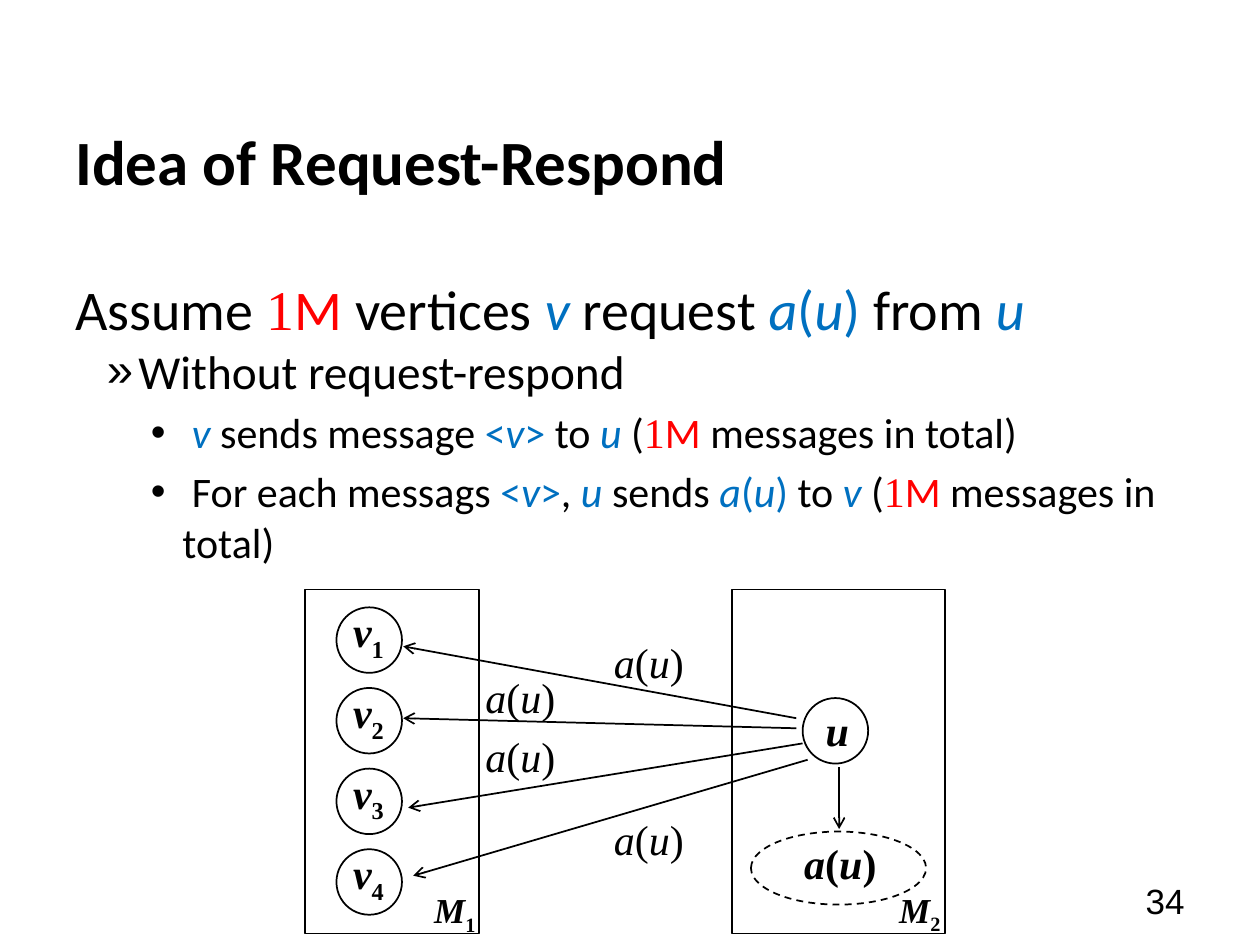
"""Builds the slide that explains the idea of request-respond."""
from dataclasses import dataclass
from typing import Optional

from lxml.etree import SubElement
from pptx import Presentation
from pptx.dml.color import RGBColor
from pptx.enum.dml import MSO_LINE_DASH_STYLE as Dash
from pptx.enum.shapes import MSO_CONNECTOR_TYPE as Connector
from pptx.enum.shapes import MSO_SHAPE as Preset
from pptx.enum.text import MSO_ANCHOR as Anchor
from pptx.enum.text import PP_ALIGN as Align
from pptx.oxml.ns import qn
from pptx.util import Inches, Pt

COLORS = {"black": "000000", "white": "FFFFFF", "red": "FF0000", "blue": "0070C0"}
SANS, SERIF = "Calibri", "Times New Roman"


@dataclass(frozen=True)
class Style:
    font: str = SANS
    color: str = "black"
    bold: bool = False
    italic: bool = False
    subscript: bool = False


@dataclass(frozen=True)
class Line:
    runs: list
    size: float
    bullet: Optional[str] = None
    margin: float = 0
    before: float = 0


@dataclass(frozen=True)
class Label:
    left: float
    top: float
    width: float
    height: float
    runs: list
    size: float = 24


@dataclass(frozen=True)
class Outline:
    preset: Preset
    left: float
    top: float
    width: float
    height: float
    fill: Optional[str] = None
    dashed: bool = False


@dataclass(frozen=True)
class Arrow:
    start: tuple
    end: tuple


PLAIN = Style()
BLUE = Style(color="blue")
VERTEX = Style(color="blue", italic=True)
DIGIT = Style(SERIF, "red")
RED = Style(color="red")
MATH = Style(SERIF, italic=True)
MATH_UPRIGHT = Style(SERIF)
MATH_BOLD = Style(SERIF, bold=True, italic=True)
MATH_BOLD_UPRIGHT = Style(SERIF, bold=True)
SUBSCRIPT = Style(SERIF, bold=True, subscript=True)


def value_of_u(italic: Style, upright: Style) -> list:
    return [("a", italic), ("(", upright), ("u", italic), (")", upright)]


def indexed(name: str, index: int) -> list:
    return [(name, MATH_BOLD), (str(index), SUBSCRIPT)]


def color_of(name: str) -> RGBColor:
    return RGBColor.from_string(COLORS[name])


def add_runs(paragraph, runs: list, size: float) -> None:
    for text, style in runs:
        run = paragraph.add_run()
        run.text = text
        run.font.name = style.font
        run.font.size = Pt(size)
        run.font.bold = style.bold
        run.font.italic = style.italic
        run.font.color.rgb = color_of(style.color)
        if style.subscript:
            run.font._element.set("baseline", "-25000")


def add_text(slide, box: tuple, lines: list, align=Align.LEFT, anchor=Anchor.TOP, wrap=True) -> None:
    frame = slide.shapes.add_textbox(*map(Inches, box)).text_frame
    frame.word_wrap = wrap
    frame.vertical_anchor = anchor
    for index, line in enumerate(lines):
        paragraph = frame.add_paragraph() if index else frame.paragraphs[0]
        paragraph.alignment = align
        paragraph.space_before = Pt(line.before)
        add_runs(paragraph, line.runs, line.size)
        if line.bullet:
            properties = paragraph._p.get_or_add_pPr()
            properties.set("marL", str(Inches(line.margin)))
            properties.set("indent", str(Inches(-0.25)))
            SubElement(properties, qn("a:buFont"), typeface="Arial")
            SubElement(properties, qn("a:buChar"), char=line.bullet)


def add_label(slide, label: Label) -> None:
    box = (label.left, label.top, label.width, label.height)
    add_text(slide, box, [Line(label.runs, label.size)], Align.CENTER, wrap=False)


def add_outline(slide, outline: Outline) -> None:
    box = (outline.left, outline.top, outline.width, outline.height)
    shape = slide.shapes.add_shape(outline.preset, *map(Inches, box))
    shape.shadow.inherit = False
    if outline.fill:
        shape.fill.solid()
        shape.fill.fore_color.rgb = color_of(outline.fill)
    else:
        shape.fill.background()
    shape.line.color.rgb = color_of("black")
    shape.line.width = Pt(1)
    if outline.dashed:
        shape.line.dash_style = Dash.DASH


def add_arrow(slide, arrow: Arrow) -> None:
    ends = map(Inches, arrow.start + arrow.end)
    connector = slide.shapes.add_connector(Connector.STRAIGHT, *ends)
    connector.line.color.rgb = color_of("black")
    connector.line.width = Pt(1)
    SubElement(connector.line._get_or_add_ln(), qn("a:tailEnd"), type="arrow")
    SubElement(connector._element.spPr, qn("a:effectLst"))


def build() -> None:
    presentation = Presentation()
    presentation.slide_width, presentation.slide_height = Inches(10), Inches(7.5)
    slide = presentation.slides.add_slide(presentation.slide_layouts[6])

    title = [("Idea of Request-Respond", Style(bold=True))]
    add_text(slide, (0.5, 0.65, 9, 1.25), [Line(title, 36)], anchor=Anchor.MIDDLE)

    blue_value = value_of_u(VERTEX, BLUE)
    message = [("<", BLUE), ("v", VERTEX), (">", BLUE)]
    total = [(" (", PLAIN), ("1", DIGIT), ("M ", RED), ("messages in total)", PLAIN)]
    assume = [("Assume ", PLAIN), ("1", DIGIT), ("M", RED), (" vertices", PLAIN), (" v", VERTEX),
              (" request ", PLAIN), *blue_value, (" from ", PLAIN), ("u", VERTEX)]
    requests = [(" ", Style(italic=True)), ("v", VERTEX), (" sends message ", PLAIN), *message,
                (" to ", PLAIN), ("u", VERTEX), *total]
    responses = [(" For each messags ", PLAIN), *message, (", ", PLAIN), ("u", VERTEX),
                 (" sends ", PLAIN), *blue_value, (" to", PLAIN), (" v", VERTEX), *total]
    add_text(slide, (0.5, 2.13, 9, 4.62), [
        Line(assume, 32, before=20),
        Line([("Without request-respond", PLAIN)], 27, "»", 0.5),
        Line(requests, 24, "•", 0.85, 4.8),
        Line(responses, 24, "•", 0.85, 4.8),
    ])
    add_text(slide, (7.17, 6.95, 2.33, 0.4), [Line([("34", Style("Arial"))], 20)],
             Align.RIGHT, Anchor.MIDDLE)

    for index in range(4):
        top = 4.82 + 0.64 * index
        add_outline(slide, Outline(Preset.OVAL, 2.67, top, 0.52, 0.52, "white"))
        add_label(slide, Label(2.66, top - 0.06, 0.53, 0.53, indexed("v", index + 1)))

    for outline in (
        Outline(Preset.OVAL, 6.37, 5.54, 0.52, 0.52, "white"),
        Outline(Preset.RECTANGLE, 2.42, 4.68, 1.38, 2.73),
        Outline(Preset.RECTANGLE, 5.81, 4.68, 1.69, 2.73),
        Outline(Preset.OVAL, 5.96, 6.6, 1.39, 0.58, dashed=True),
    ):
        add_outline(slide, outline)

    for arrow in (
        Arrow((6.66, 6.09), (6.66, 6.58)),
        Arrow((6.32, 5.7), (3.2, 5.13)),
        Arrow((6.32, 5.78), (3.2, 5.7)),
        Arrow((6.37, 5.9), (3.24, 6.41)),
        Arrow((6.41, 6.03), (3.28, 6.95)),
    ):
        add_arrow(slide, arrow)

    add_label(slide, Label(6.45, 5.54, 0.39, 0.5, [("u", MATH_BOLD)]))
    add_label(slide, Label(6.19, 6.6, 0.96, 0.5, value_of_u(MATH_BOLD, MATH_BOLD_UPRIGHT)))
    add_label(slide, Label(3.24, 7, 0.74, 0.58, indexed("M", 1), 20))
    add_label(slide, Label(7.03, 7, 0.54, 0.44, indexed("M", 2), 20))
    for left, top in ((4.77, 5), (3.75, 5.28), (3.75, 5.75), (4.77, 6.41)):
        add_label(slide, Label(left, top, 0.76, 0.5, value_of_u(MATH, MATH_UPRIGHT)))

    presentation.save("out.pptx")


build()
